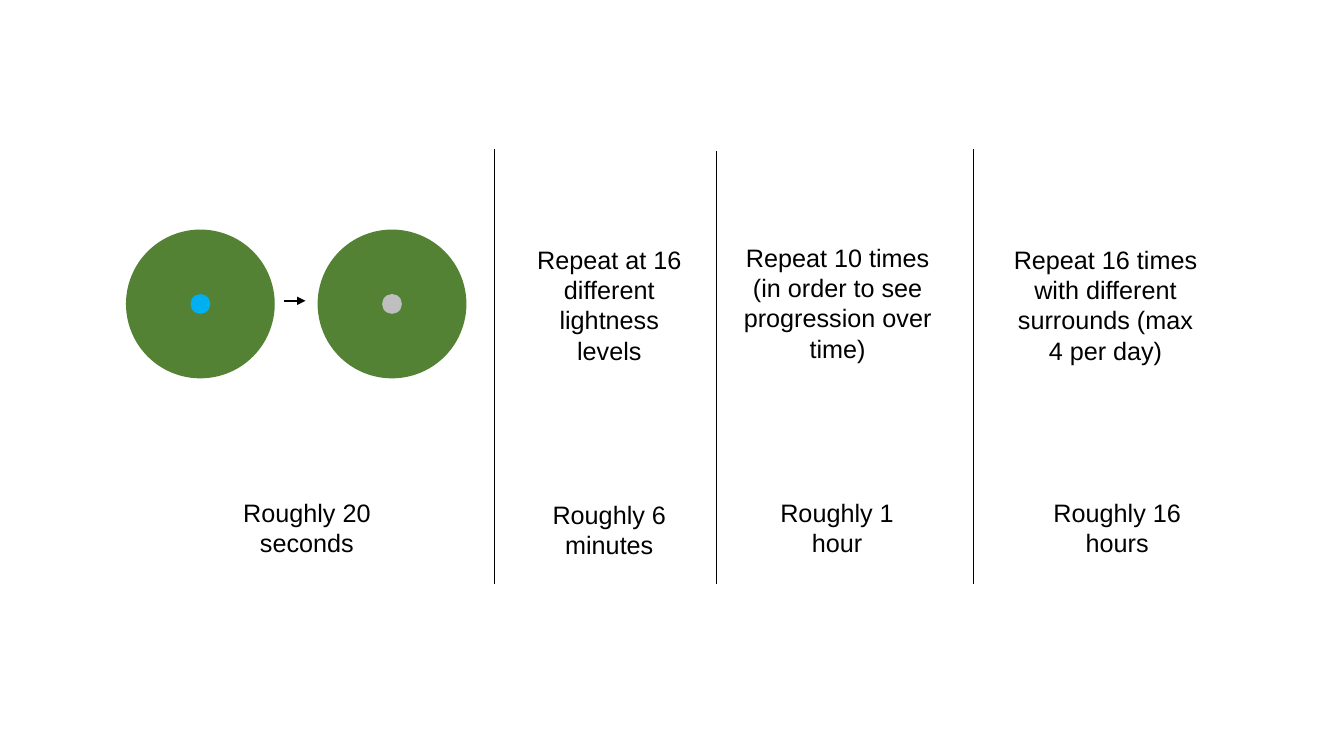
from lxml.etree import SubElement
from pptx import Presentation
from pptx.dml.color import RGBColor
from pptx.enum.shapes import MSO_CONNECTOR as Connector, MSO_SHAPE as Shape
from pptx.enum.text import MSO_AUTO_SIZE as AutoSize, PP_ALIGN as Align
from pptx.oxml.ns import qn
from pptx.util import Cm, Pt

COLORS = {"surround": "548235", "blue": "00B0F0", "gray": "BFBFBF", "ink": "000000"}
FONT = {"name": "Arial", "size": Pt(18)}
FRAME = {"word_wrap": True, "auto_size": AutoSize.SHAPE_TO_FIT_TEXT}

presentation = Presentation()
presentation.slide_width = Cm(33.87)
presentation.slide_height = Cm(19.05)
slide = presentation.slides.add_slide(presentation.slide_layouts[6])


def add_disc(center_x, center_y, diameter, color):
    disc = slide.shapes.add_shape(
        Shape.OVAL, Cm(center_x - diameter / 2), Cm(center_y - diameter / 2),
        Cm(diameter), Cm(diameter))
    disc.shadow.inherit = False
    disc.fill.solid()
    disc.fill.fore_color.rgb = RGBColor.from_string(COLORS[color])
    disc.line.fill.background()


def add_line(start_x, start_y, end_x, end_y, width):
    connector = slide.shapes.add_connector(
        Connector.STRAIGHT, Cm(start_x), Cm(start_y), Cm(end_x), Cm(end_y))
    connector.line.width = Pt(width)
    connector.line.color.rgb = RGBColor.from_string(COLORS["ink"])
    SubElement(connector._element.spPr, qn("a:effectLst"))
    return connector


for center_x, stimulus in ((5.05, "blue"), (9.88, "gray")):
    add_disc(center_x, 7.66, 3.75, "surround")
    add_disc(center_x, 7.66, 0.5, stimulus)

arrow = add_line(7.16, 7.58, 7.7, 7.58, 1)
SubElement(arrow.line._get_or_add_ln(), qn("a:tailEnd"), type="triangle")

for divider_x, divider_top in ((12.47, 3.76), (18.06, 3.81), (24.54, 3.76)):
    add_line(divider_x, divider_top, divider_x, 14.71, 0.5)

labels = [
    (13.03, 6.03, 4.65, 3.33, "Repeat at 16 different lightness levels"),
    (18.47, 5.98, 5.28, 3.33, "Repeat 10 times (in order to see progression over time)"),
    (25.22, 6.03, 5.28, 3.33, "Repeat 16 times with different surrounds (max 4 per day)"),
    (5.41, 12.4, 4.65, 1.8, "Roughly 20 seconds"),
    (13.03, 12.45, 4.65, 1.8, "Roughly 6 minutes"),
    (18.77, 12.4, 4.65, 1.8, "Roughly 1 hour"),
    (25.83, 12.4, 4.65, 1.8, "Roughly 16 hours"),
]
for left, top, width, height, text in labels:
    label = slide.shapes.add_textbox(Cm(left), Cm(top), Cm(width), Cm(height))
    for name, value in FRAME.items():
        setattr(label.text_frame, name, value)
    paragraph = label.text_frame.paragraphs[0]
    paragraph.alignment = Align.CENTER
    run = paragraph.add_run()
    run.text = text
    for name, value in FONT.items():
        setattr(run.font, name, value)
    run.font.color.rgb = RGBColor.from_string(COLORS["ink"])

presentation.save("out.pptx")
